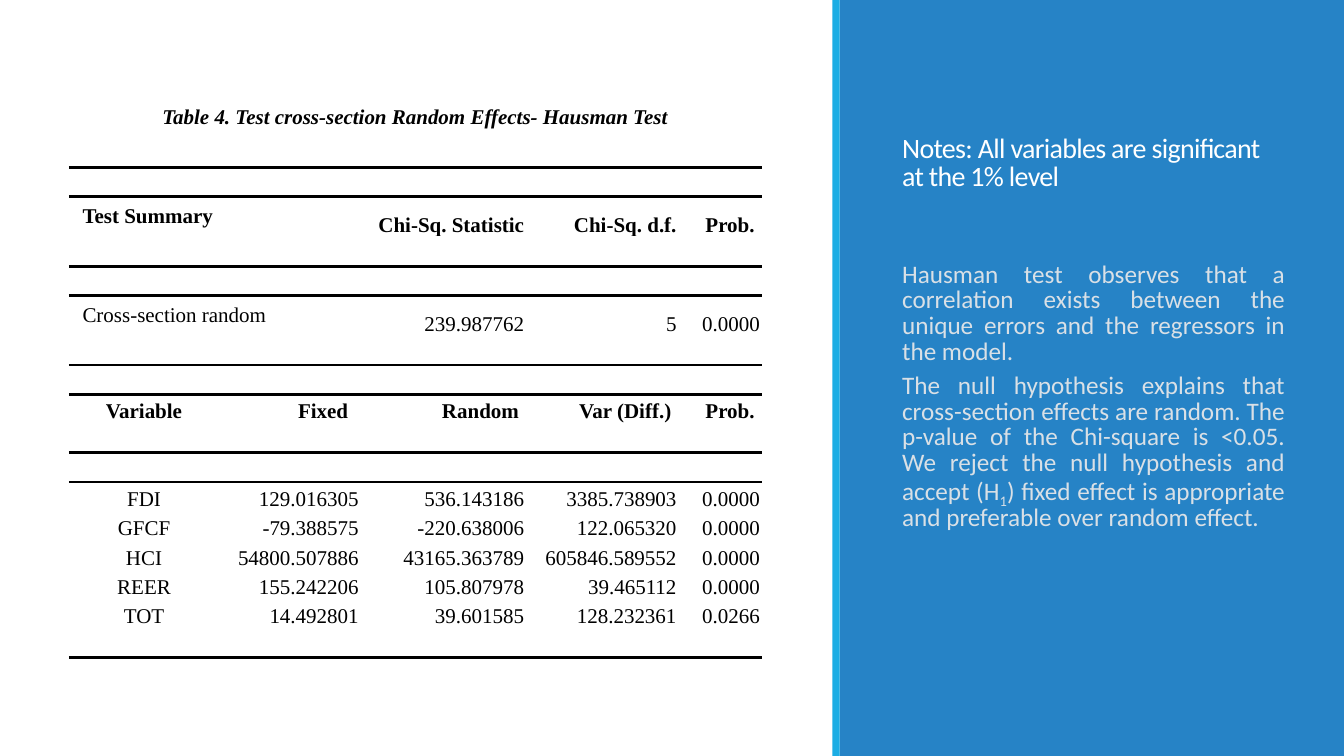
from dataclasses import dataclass

from lxml import etree
from pptx import Presentation
from pptx import util as u
from pptx.dml.color import RGBColor
from pptx.enum import shapes, text
from pptx.oxml.ns import qn


@dataclass(frozen=True)
class Theme:
    panel: str = "2683C6"
    accent: str = "1CADE4"
    heading: str = "FFFFFF"
    body: str = "D9E0E6"
    ink: str = "000000"
    panel_font: str = "Calibri"
    table_font: str = "Times New Roman"
    heading_size: float = 20
    body_size: float = 18
    table_size: float = 15
    spacer_size: float = 8
    rule_width: float = 2.25


# Table content: an empty tuple is a spacer row
TABLE_ROWS = [
    ("Table 4. Test cross-section Random Effects- Hausman Test",),
    (),
    (),
    ("Test Summary", "", "Chi-Sq. Statistic", "Chi-Sq. d.f.", "Prob. "),
    (),
    (),
    ("Cross-section random", "", "239.987762", "5", "0.0000"),
    (),
    (),
    ("Variable", "Fixed  ", "Random ", "Var (Diff.) ", "Prob. "),
    (),
    (),
    ("FDI", "129.016305", "536.143186", "3385.738903", "0.0000"),
    ("GFCF", "-79.388575", "-220.638006", "122.065320", "0.0000"),
    ("HCI", "54800.507886", "43165.363789", "605846.589552", "0.0000"),
    ("REER", "155.242206", "105.807978", "39.465112", "0.0000"),
    ("TOT", "14.492801", "39.601585", "128.232361", "0.0266"),
    (),
]
COLUMN_WIDTHS = [3.76, 3.56, 4.17, 3.84, 2.1]
TABLE_HEIGHT = 14.1
TALL_HEIGHT = 1.02
CAPTION_ROW = 0
MERGED_TO = {0: 4, 3: 1, 6: 1}  # tall rows and the last column of their label
BOLD_ROWS = {0, 3, 9}
RULED_ROWS = {1, 4, 7, 10, 17}  # rows with a rule below

HEADING = "Notes: All variables are significant at the 1% level"
EXPLANATION = [
    [("Hausman test observes that a correlation exists between the unique "
      "errors and the regressors in the model.", False)],
    [("The null hypothesis explains that cross-section effects are random. "
      "The p-value of the Chi-square is <0.05. We reject the null hypothesis "
      "and accept (H", False),
     ("1", True),
     (") fixed effect is appropriate and preferable over random effect.", False)],
]


class SlideBuilder:
    def __init__(self, presentation, theme):
        self.theme = theme
        self.slide = presentation.slides.add_slide(presentation.slide_layouts[5])

    def bar(self, left, width, color):
        """Full-height bar placed behind the title."""
        shape = self.slide.shapes.add_shape(
            shapes.MSO_SHAPE.RECTANGLE, u.Cm(left), 0, u.Cm(width), u.Cm(19.05))
        shape.shadow.inherit = False
        shape.fill.solid()
        shape.fill.fore_color.rgb = RGBColor.from_string(color)
        shape.line.fill.background()
        self.slide.shapes.title.element.addprevious(shape.element)

    def run(self, paragraph, words, font, size, color, bold=False, italic=False):
        run = paragraph.add_run()
        run.text = words
        run.font.name, run.font.size = font, u.Pt(size)
        run.font.bold, run.font.italic = bold, italic
        run.font.color.rgb = RGBColor.from_string(color)
        return run

    def panel_text(self, left, top, width, height):
        theme = self.theme
        title = self.slide.shapes.title
        title.left, title.top = u.Cm(left), u.Cm(top)
        title.width, title.height = u.Cm(width), u.Cm(height)
        frame = title.text_frame
        frame.word_wrap = True
        frame.auto_size = text.MSO_AUTO_SIZE.NONE
        frame.vertical_anchor = text.MSO_ANCHOR.BOTTOM
        frame.margin_bottom = u.Cm(1.69)

        # Heading
        heading = frame.paragraphs[0]
        heading.alignment = text.PP_ALIGN.LEFT
        heading.line_spacing, heading.space_after = 0.85, u.Pt(50)
        run = self.run(heading, HEADING, theme.panel_font,
                       theme.heading_size, theme.heading)
        run.font._element.set("spc", "-50")

        # Explanation
        for parts in EXPLANATION:
            paragraph = frame.add_paragraph()
            paragraph.alignment = text.PP_ALIGN.JUSTIFY
            paragraph.line_spacing, paragraph.space_after = 0.85, u.Pt(6)
            for words, subscript in parts:
                run = self.run(paragraph, words, theme.panel_font,
                               theme.body_size, theme.body)
                if subscript:
                    run.font._element.set("baseline", "-25000")

    def rule(self, cell, side):
        """Add a horizontal border; side is lnT or lnB."""
        line = etree.Element(qn(f"a:{side}"), w=str(u.Pt(self.theme.rule_width)))
        fill = etree.SubElement(line, qn("a:solidFill"))
        etree.SubElement(fill, qn("a:srgbClr"), val=self.theme.ink)
        cell._tc.get_or_add_tcPr().insert(0, line)

    def cell(self, cell, words, row, column):
        theme = self.theme
        cell.fill.background()
        label = row in MERGED_TO and column == 0
        cell.margin_left = cell.margin_right = u.Cm(0.33 if label else 0.03)
        cell.margin_top = u.Cm(0.16 if label else 0.03)
        cell.margin_bottom = u.Cm(0.16 if label else 0)
        cell.vertical_anchor = text.MSO_ANCHOR.TOP if label else text.MSO_ANCHOR.BOTTOM
        if row in RULED_ROWS:
            self.rule(cell, "lnB")
        if row - 1 in RULED_ROWS:
            self.rule(cell, "lnT")

        paragraph = cell.text_frame.paragraphs[0]
        if not words:
            paragraph.font.size = u.Pt(theme.spacer_size)
            return
        if column:
            paragraph.alignment = text.PP_ALIGN.RIGHT
        elif label and row != CAPTION_ROW:
            paragraph.alignment = text.PP_ALIGN.LEFT
        else:
            paragraph.alignment = text.PP_ALIGN.CENTER
        paragraph.line_spacing, paragraph.space_after = 1.07, u.Pt(8)
        self.run(paragraph, words, theme.table_font, theme.table_size, theme.ink,
                 row in BOLD_ROWS, row == CAPTION_ROW)

    def results_table(self, left, top):
        count = len(TABLE_ROWS)
        table = self.slide.shapes.add_table(
            count, len(COLUMN_WIDTHS), u.Cm(left), u.Cm(top),
            u.Cm(sum(COLUMN_WIDTHS)), u.Cm(TABLE_HEIGHT)).table
        table.first_row = table.horz_banding = False
        for column, width in zip(table.columns, COLUMN_WIDTHS):
            column.width = u.Cm(width)
        tall = len(MERGED_TO)
        low_height = (TABLE_HEIGHT - tall * TALL_HEIGHT) / (count - tall)
        for row, values in enumerate(TABLE_ROWS):
            table.rows[row].height = u.Cm(TALL_HEIGHT if row in MERGED_TO else low_height)
            for column in range(len(COLUMN_WIDTHS)):
                words = values[column] if column < len(values) else ""
                self.cell(table.cell(row, column), words, row, column)
        for row, last_column in MERGED_TO.items():
            table.cell(row, 0).merge(table.cell(row, last_column))


def main():
    presentation = Presentation()
    presentation.slide_width, presentation.slide_height = u.Cm(33.87), u.Cm(19.05)
    theme = Theme()
    builder = SlideBuilder(presentation, theme)

    # Right panel with its accent edge
    builder.bar(21.16, 12.71, theme.panel)
    builder.bar(20.98, 0.18, theme.accent)
    builder.panel_text(22.48, 1.78, 10.16, 13.31)

    # Test results
    builder.results_table(1.75, 2.46)
    presentation.save("out.pptx")


if __name__ == "__main__":
    main()
